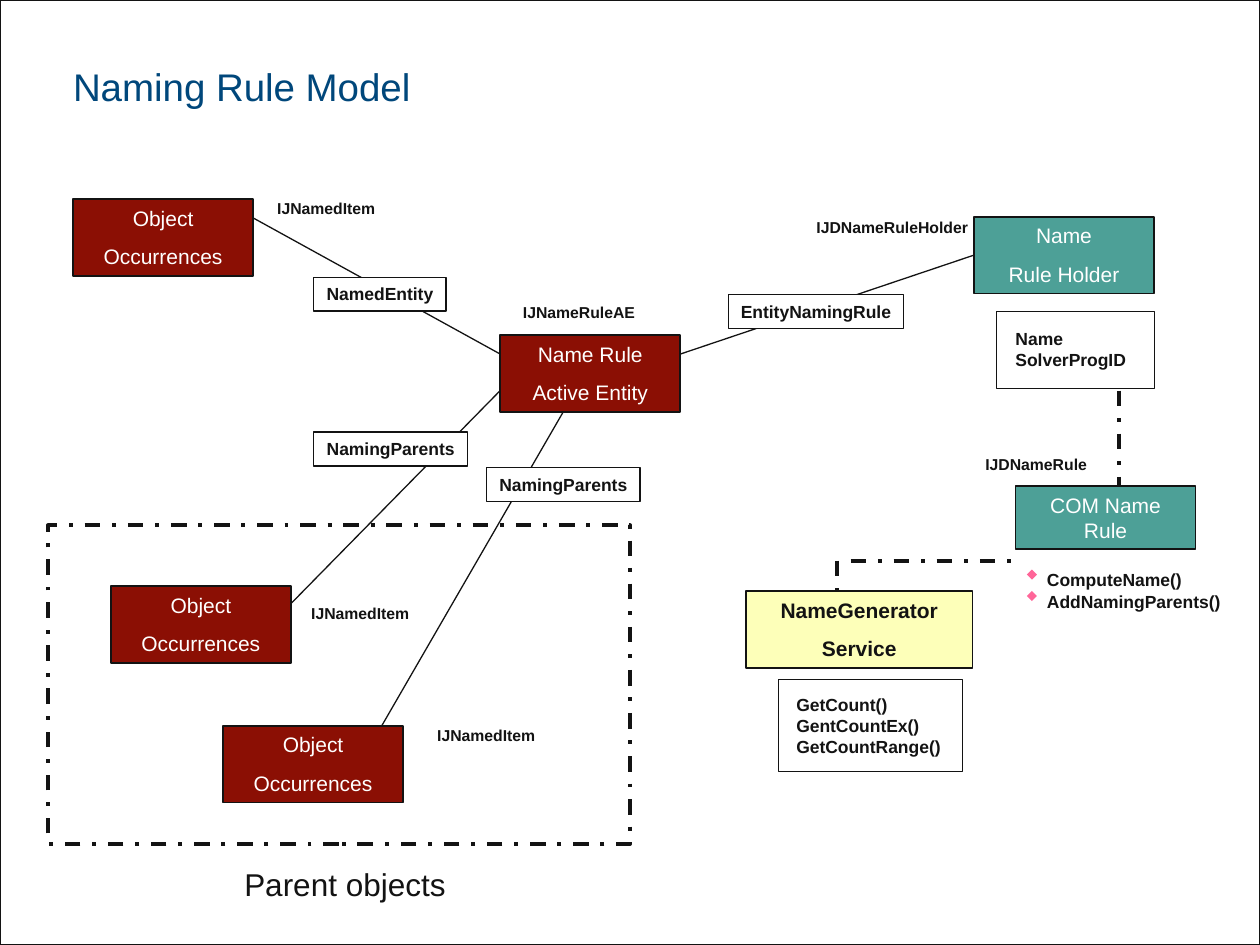
"""Build the Naming Rule Model diagram slide."""
from lxml import etree
from pptx import Presentation
from pptx.dml.color import RGBColor
from pptx.enum.dml import MSO_LINE
from pptx.enum.shapes import MSO_CONNECTOR, MSO_SHAPE
from pptx.enum.text import MSO_ANCHOR, PP_ALIGN
from pptx.oxml.ns import qn
from pptx.util import Inches, Pt

RECTANGLE, DIAMOND = MSO_SHAPE.RECTANGLE, MSO_SHAPE.DIAMOND
STRAIGHT, DASH_DOT = MSO_CONNECTOR.STRAIGHT, MSO_LINE.DASH_DOT
LEFT, CENTER = PP_ALIGN.LEFT, PP_ALIGN.CENTER
TOP, BOTTOM = MSO_ANCHOR.TOP, MSO_ANCHOR.BOTTOM
WIDTH, HEIGHT = 10, 7.5
INK, WHITE, RED, TEAL, YELLOW = "131313", "FFFFFF", "8B0F04", "4DA097", "FDFFB9"
NAVY, PINK = "00477B", "FF6699"
NODE_WIDTH, NODE_HEIGHT, TAG_HEIGHT = 1.43, 0.61, 0.27
INSETS = (0.1, 0.05)

NODES = {
    "occurrence": (["Object", "Occurrences"], 0.58, 1.58, RED),
    "entity": (["Name Rule", "Active Entity"], 3.97, 2.66, RED),
    "holder": (["Name", "Rule Holder"], 7.73, 1.72, TEAL),
    "first parent": (["Object", "Occurrences"], 0.88, 4.65, RED),
    "second parent": (["Object", "Occurrences"], 1.77, 5.76, RED),
}
INTERFACES = [
    ("IJNamedItem", 2.2, 1.58, 1),
    ("IJNameRuleAE", 4.15, 2.4, 1.25),
    ("IJDNameRuleHolder", 6.48, 1.73, 1.25),
    ("IJNamedItem", 2.47, 4.79, 1),
    ("IJNamedItem", 3.47, 5.76, 1),
    ("IJDNameRule", 7.82, 3.61, 1.25),
]
RELATIONS = [
    ("NamingParents", (2.31, 4.79), (3.97, 3.1), (2.49, 3.43, 1.22), None),
    ("NamedEntity", (3.97, 2.81), (2.01, 1.73), (2.49, 2.2, 1.05), None),
    ("EntityNamingRule", (5.4, 2.81), (7.73, 2.02), (5.78, 2.34, 1.39), "holder"),
    ("NamingParents", (3.03, 5.76), (4.47, 3.27), (3.86, 3.71, 1.22), None),
]
MEMBERS = [
    (["GetCount()", "GentCountEx()", "GetCountRange()"],
     (6.18, 5.39, 1.46, 0.73), (6.32, 5.51, 1.17, 0.5), 0.25),
    (["ComputeName()", "AddNamingParents()"],
     (8.06, 4.44, 1.67, 0.5), (8.31, 4.52, 1.5, 0.33), None),
    (["Name", "SolverProgID"],
     (7.91, 2.47, 1.25, 0.61), (8.06, 2.6, 1.43, 0.33), 0.25),
]
BULLETS = (8.15, 4.52, 0.08, 0.17)
DASHED_LINKS = [
    ((6.64, 4.45), (6.64, 4.68)),
    ((6.75, 4.45), (8.06, 4.45)),
    ((8.88, 3.1), (8.88, 3.86)),
]


def color(code):
    return RGBColor.from_string(code)


def write(shape, lines, size, ink=INK, bold=False, align=LEFT, gap=0,
          insets=(0, 0), anchor=TOP, wrap=True):
    frame = shape.text_frame
    frame.word_wrap, frame.vertical_anchor = wrap, anchor
    frame.margin_left = frame.margin_right = Inches(insets[0])
    frame.margin_top = frame.margin_bottom = Inches(insets[1])
    for index, line in enumerate(lines):
        para = frame.add_paragraph() if index else frame.paragraphs[0]
        para.text, para.alignment = line, align
        if index and gap:
            para.space_before = Pt(gap)
        para.font.name, para.font.size, para.font.bold = "Arial", Pt(size), bold
        para.font.color.rgb = color(ink)


def add_box(page, area, fill=None, line=None, dash=None, kind=RECTANGLE):
    box = page.shapes.add_shape(kind, *map(Inches, area))
    box.shadow.inherit = False
    if fill:
        box.fill.solid()
        box.fill.fore_color.rgb = color(fill)
    else:
        box.fill.background()
    if line:
        box.line.color.rgb, box.line.width = color(INK), Pt(line)
        if dash:
            box.line.dash_style = dash
    else:
        box.line.fill.background()
    return box


def add_text(page, area, lines, size, **style):
    write(page.shapes.add_textbox(*map(Inches, area)), lines, size, **style)


def add_node(page, lines, left, top, fill, width=NODE_WIDTH, height=NODE_HEIGHT,
             ink=WHITE, bold=False):
    node = add_box(page, (left, top, width, height), fill, 1)
    write(node, lines, 12, ink, bold, CENTER, 7.5, INSETS)
    return node


def add_link(page, start, end, width, dash=None):
    link = page.shapes.add_connector(STRAIGHT, *map(Inches, start + end))
    link.line.color.rgb, link.line.width = color(INK), Pt(width)
    if dash:
        link.line.dash_style = dash
    etree.SubElement(link._element.spPr, qn("a:effectLst"))
    return link


def main():
    deck = Presentation()
    deck.slide_width, deck.slide_height = Inches(WIDTH), Inches(HEIGHT)
    page = deck.slides.add_slide(deck.slide_layouts[6])
    add_box(page, (0, 0, WIDTH, HEIGHT), WHITE, 0.75)
    add_text(page, (0.58, 0.13, 6.06, 0.74), ["Naming Rule Model"], 22,
             ink=NAVY, anchor=BOTTOM)

    nodes = {name: add_node(page, *node) for name, node in NODES.items()}
    for name, left, top, width in INTERFACES:
        add_text(page, (left, top, width, 0.15), [name], 9, bold=True)
    for name, start, end, (left, top, width), target in RELATIONS:
        link = add_link(page, start, end, 0.75)
        if target:
            link.end_connect(nodes[target], 1)
        tag = add_box(page, (left, top, width, TAG_HEIGHT), WHITE, 0.75)
        write(tag, [name], 10, bold=True, align=CENTER, insets=INSETS, wrap=False)

    add_box(page, (0.38, 4.17, 4.62, 2.53), line=2.25, dash=DASH_DOT)
    add_text(page, (1.84, 6.82, 1.91, 0.4), ["Parent objects"], 18, insets=INSETS)
    add_node(page, ["NameGenerator", "Service"], 5.92, 4.69, YELLOW, width=1.8,
             ink=INK, bold=True)
    add_node(page, ["COM Name Rule"], 8.06, 3.86, TEAL, height=0.5)
    for lines, panel, area, border in MEMBERS:
        add_box(page, panel, WHITE, border)
        add_text(page, area, lines, 10, bold=True)
    left, top, size, pitch = BULLETS
    for row in range(2):
        add_box(page, (left, top + row * pitch, size, size), PINK, kind=DIAMOND)
    for start, end in DASHED_LINKS:
        add_link(page, start, end, 2.25, DASH_DOT)
    deck.save("out.pptx")


if __name__ == "__main__":
    main()
